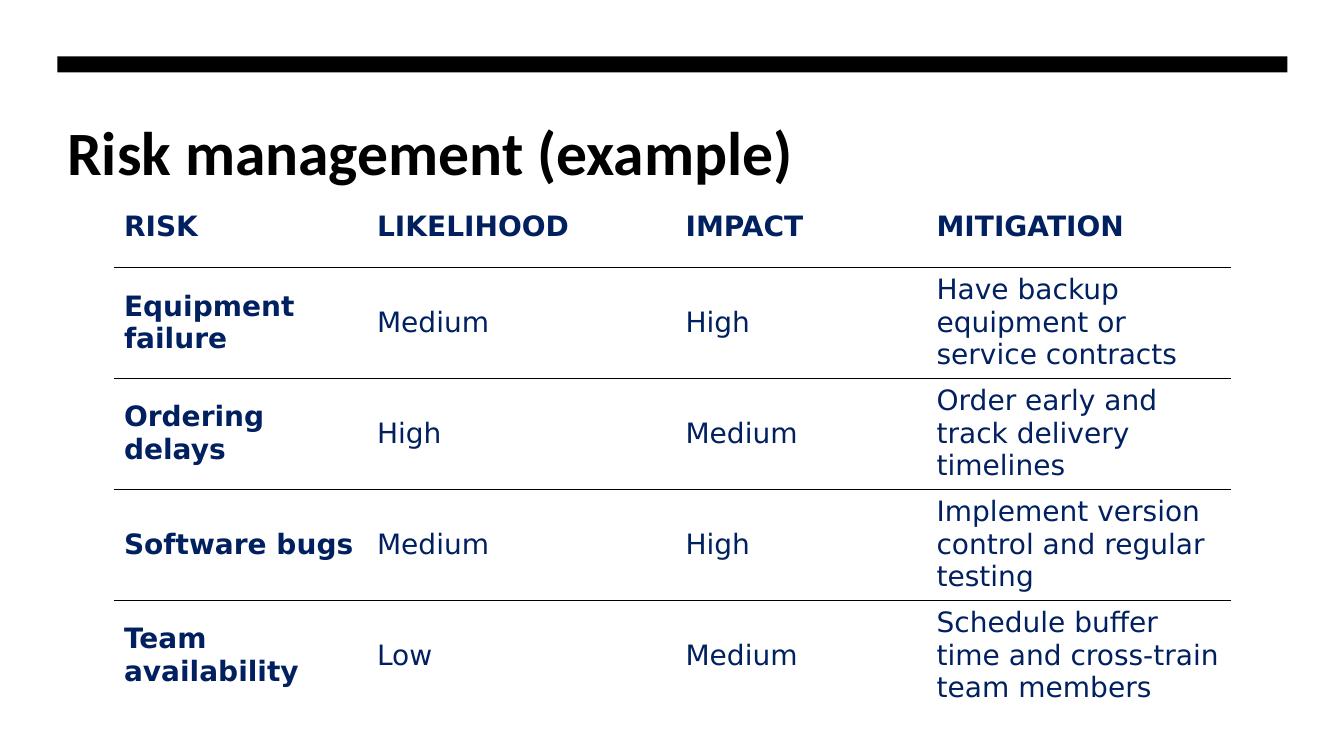
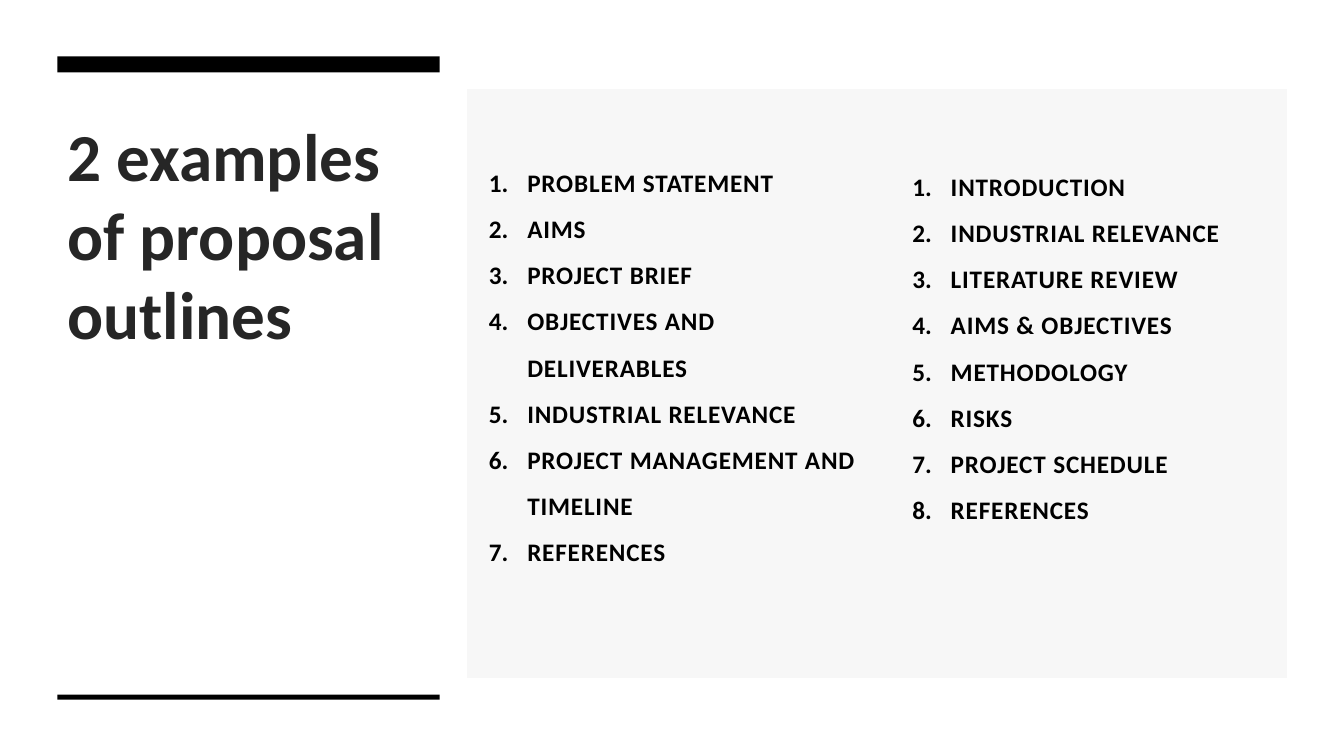
"""Build two project proposal slides: a risk table and a pair of outlines."""
from dataclasses import dataclass

from lxml.etree import SubElement
from pptx import Presentation
from pptx.dml.color import RGBColor
from pptx.enum.shapes import MSO_SHAPE
from pptx.enum.text import MSO_ANCHOR
from pptx.oxml.ns import qn
from pptx.slide import Slide
from pptx.table import Table, _Cell
from pptx.util import Inches, Pt

BLACK = RGBColor(0x00, 0x00, 0x00)
CHARCOAL = RGBColor(0x26, 0x26, 0x26)
NAVY = RGBColor(0x00, 0x20, 0x60)
PALE_GREY = RGBColor(0xF7, 0xF7, 0xF7)
HEAD_FONT = "Calibri"
TABLE_FONT = "DejaVu Sans"
LEFT = 0.57
FULL_WIDTH = 12.2
SIDE_WIDTH = 3.79
BAND_TOP = 0.56
BAND_HEIGHT = 0.16


@dataclass
class Title:
    text: str
    width: float
    height: float
    size: int
    color: RGBColor


@dataclass
class Outline:
    top_margin: float
    items: list[str]


RISK_TITLE = Title("Risk management (example)", FULL_WIDTH, 1.6, 44, BLACK)
OUTLINE_TITLE = Title("2 examples of proposal\voutlines", SIDE_WIDTH, 2.68, 48, CHARCOAL)

RISK_ROWS = [
    ("RISK", "LIKELIHOOD", "IMPACT", "MITIGATION"),
    ("Equipment failure", "Medium", "High",
     "Have backup equipment or service contracts"),
    ("Ordering delays", "High", "Medium",
     "Order early and track delivery timelines"),
    ("Software bugs", "Medium", "High",
     "Implement version control and regular testing"),
    ("Team availability", "Low", "Medium",
     "Schedule buffer time and cross-train team members"),
]

OUTLINES = [
    Outline(0.64, ["PROBLEM STATEMENT", "AIMS", "PROJECT BRIEF",
                   "OBJECTIVES AND DELIVERABLES", "INDUSTRIAL RELEVANCE",
                   "PROJECT MANAGEMENT AND TIMELINE", "REFERENCES"]),
    Outline(0.68, ["INTRODUCTION", "INDUSTRIAL RELEVANCE", "LITERATURE REVIEW",
                   "AIMS & OBJECTIVES", "METHODOLOGY", "RISKS",
                   "PROJECT SCHEDULE", "REFERENCES"]),
]


def add_bar(s: Slide, top: float, width: float, height: float) -> None:
    sp = s.shapes.add_shape(MSO_SHAPE.RECTANGLE, Inches(LEFT), Inches(top),
                            Inches(width), Inches(height))
    sp.shadow.inherit = False
    sp.fill.solid()
    sp.fill.fore_color.rgb = BLACK
    sp.line.fill.background()


def add_title(s: Slide, title: Title) -> None:
    add_bar(s, BAND_TOP, title.width, BAND_HEIGHT)
    sp = s.shapes.add_textbox(Inches(LEFT), Inches(1.07),
                              Inches(title.width), Inches(title.height))
    tf = sp.text_frame
    tf.word_wrap = True
    tf.margin_top = Inches(0.1)
    p = tf.paragraphs[0]
    p.text = title.text
    p.line_spacing = 0.98
    for r in p.runs:
        r.font.name = HEAD_FONT
        r.font.size = Pt(title.size)
        r.font.bold = True
        r.font.color.rgb = title.color


def add_plain_table(s: Slide, left: float, top: float, widths: list[float],
                    heights: list[float]) -> Table:
    table = s.shapes.add_table(len(heights), len(widths), Inches(left), Inches(top),
                               Inches(sum(widths)), Inches(sum(heights))).table
    table.first_row = False
    table.horz_banding = False
    for column, width in zip(table.columns, widths):
        column.width = Inches(width)
    for row, height in zip(table.rows, heights):
        row.height = Inches(height)
    return table


def set_borders(cell: _Cell, ruled: str = "") -> None:
    tc_pr = cell._tc.get_or_add_tcPr()
    for side in "LRTB":
        ln = SubElement(tc_pr, qn(f"a:ln{side}"), w=str(Pt(0.75)))
        if side in ruled:
            fill = SubElement(ln, qn("a:solidFill"))
            SubElement(fill, qn("a:srgbClr"), val=str(BLACK))
        else:
            SubElement(ln, qn("a:noFill"))


def add_risk_table(s: Slide) -> None:
    table = add_plain_table(s, 1.13, 2.03, [2.51, 3.06, 2.49, 3.02], [0.62] + [1.1] * 4)
    last = len(RISK_ROWS) - 1
    for i, row in enumerate(RISK_ROWS):
        ruled = ("T" if i > 0 else "") + ("B" if i < last else "")
        for j, text in enumerate(row):
            cell = table.cell(i, j)
            set_borders(cell, ruled)
            cell.fill.background()
            cell.vertical_anchor = MSO_ANCHOR.MIDDLE
            cell.text_frame.text = text
            p = cell.text_frame.paragraphs[0]
            if i == 0:
                p.line_spacing = Pt(9.8)
            r = p.runs[0]
            r.font.name = TABLE_FONT
            r.font.size = Pt(20)
            r.font.bold = i == 0 or j == 0
            r.font.color.rgb = NAVY


def fill_outline(cell: _Cell, outline: Outline) -> None:
    set_borders(cell)
    cell.fill.solid()
    cell.fill.fore_color.rgb = PALE_GREY
    cell.margin_left = cell.margin_right = cell.margin_bottom = Inches(0.22)
    cell.margin_top = Inches(outline.top_margin)
    tf = cell.text_frame
    tf.text = "\n".join(outline.items)
    for p in tf.paragraphs:
        p.line_spacing = 1.5
        p_pr = p._p.get_or_add_pPr()
        p_pr.set("marL", str(Inches(0.38)))
        p_pr.set("indent", str(-Inches(0.38)))
        SubElement(p_pr, qn("a:buFont"), typeface="+mj-lt")
        SubElement(p_pr, qn("a:buAutoNum"), type="arabicPeriod")
        r = p.runs[0]
        r.font.name = HEAD_FONT
        r.font.size = Pt(18)
        r.font.bold = True
        r.font.color.rgb = BLACK
        r.font._element.set("spc", "60")


def add_outlines(s: Slide) -> None:
    table = add_plain_table(s, 4.63, 0.88, [4.2, 3.93], [5.85])
    for j, outline in enumerate(OUTLINES):
        fill_outline(table.cell(0, j), outline)


def main() -> None:
    prs = Presentation()
    prs.slide_width = Inches(13.33)
    prs.slide_height = Inches(7.5)
    blank = prs.slide_layouts[6]

    s = prs.slides.add_slide(blank)
    add_title(s, RISK_TITLE)
    add_risk_table(s)

    s = prs.slides.add_slide(blank)
    add_title(s, OUTLINE_TITLE)
    add_bar(s, 6.89, SIDE_WIDTH, 0.05)
    add_outlines(s)

    prs.save("out.pptx")


if __name__ == "__main__":
    main()
